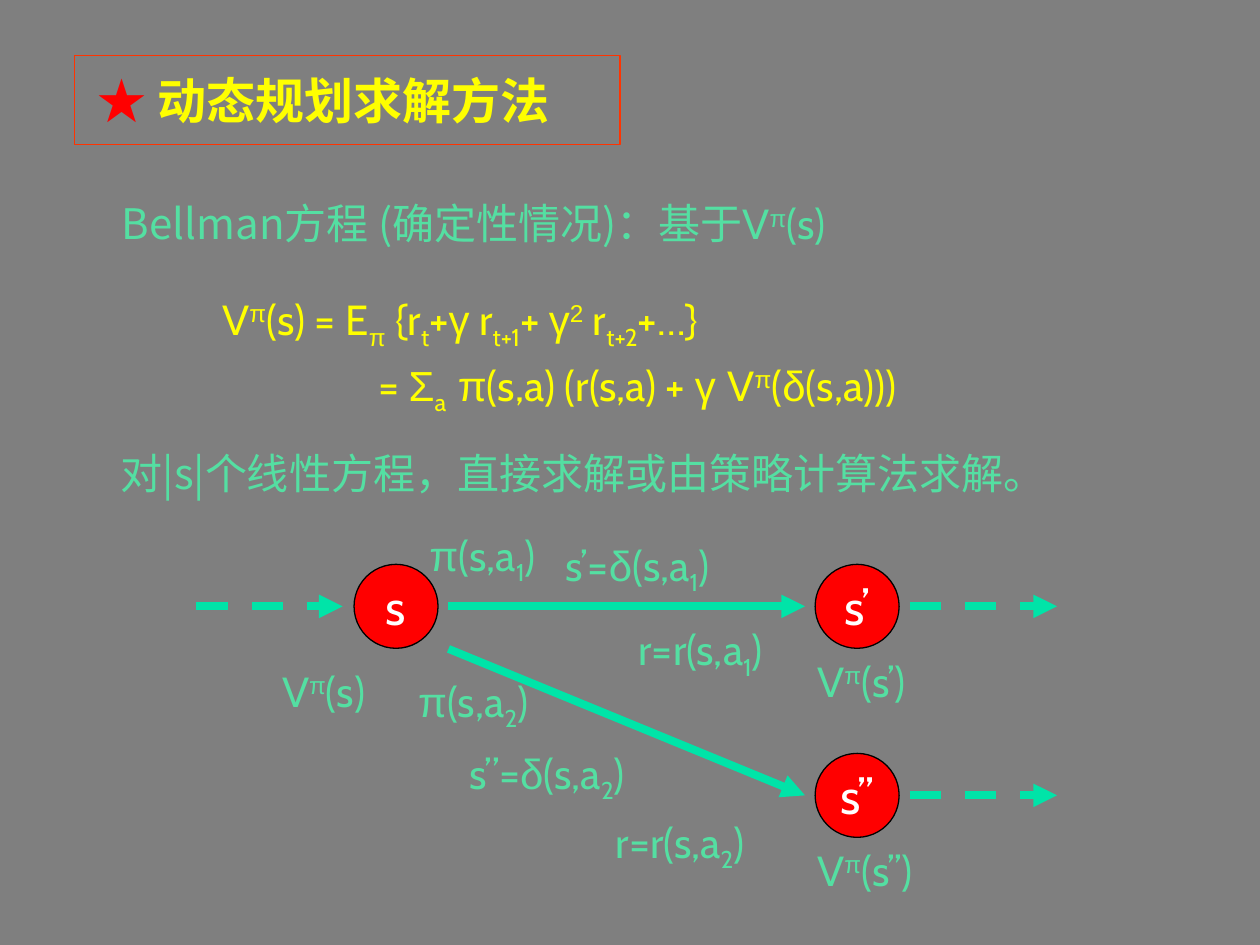
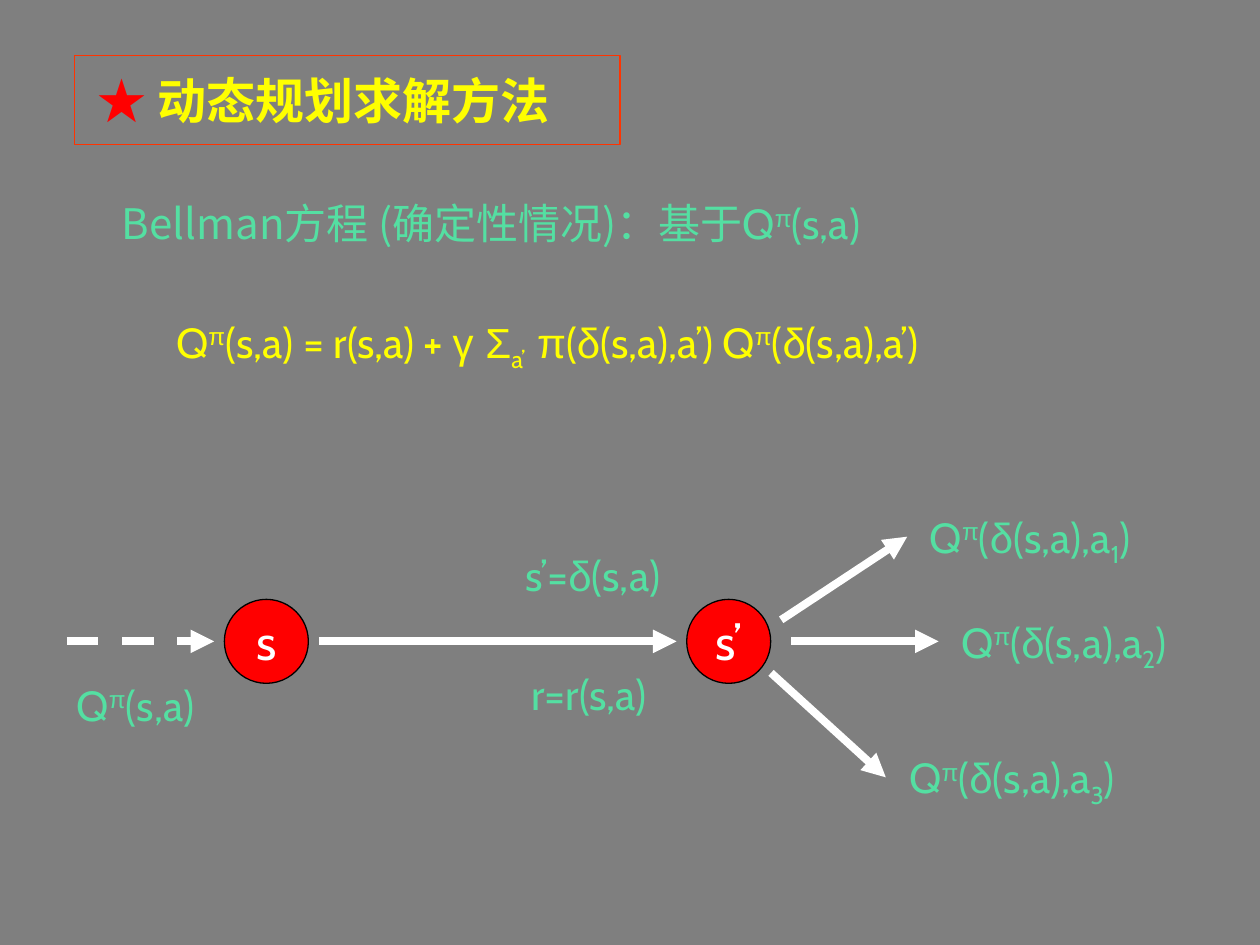
from lxml import etree
from pptx import Presentation
from pptx.dml.color import RGBColor
from pptx.enum import dml, shapes, text
from pptx.oxml import ns
from pptx.util import Pt

rgb = RGBColor.from_string
GRAY, GREEN, YELLOW, RED, WHITE = "7F7F7F", "54DFA2", "FFFF00", "FF0000", "FFFFFF"
CJK = "Noto Sans CJK SC"


def write(p, markup, color, size=24, bold=False):
    for piece in markup.split("·"):
        mark = piece[0] if piece[0] in "^_" else ""
        words = piece[len(mark):]
        r = p.add_run()
        r.text = words
        if any(ch >= "一" for ch in words) or "★" in words:
            name = CJK
        elif mark == "^" or words.strip()[0] in "πγδΣ":
            name = "Arial"
        else:
            name = "Cabin"
        r.font.name = name
        r.font.size = Pt(size)
        r.font.bold = bold
        r.font.color.rgb = rgb(color)
        rPr = r.font._element
        etree.SubElement(rPr, ns.qn("a:ea")).set("typeface", name)
        if mark:
            rPr.set("baseline", "30000" if mark == "^" else "-25000")


def add_text(s, x, y, w, h, lines, color=GREEN, wrap=True):
    tf = s.shapes.add_textbox(Pt(x), Pt(y), Pt(w), Pt(h)).text_frame
    tf.word_wrap = wrap
    if not wrap:
        tf.auto_size = text.MSO_AUTO_SIZE.SHAPE_TO_FIT_TEXT
    for i, (indent, markup) in enumerate(lines):
        p = tf.add_paragraph() if i else tf.paragraphs[0]
        p._p.get_or_add_pPr().set("marL", str(Pt(indent)))
        if i:
            p.space_before = Pt(4.8)
        write(p, markup, color)


slides = [
    {
        "heading": "Bellman方程 (确定性情况)：基于·V·^π·(s)",
        "formula": (72, 164.2, 612, 80.6, [
            (48, "V·^π·(s) = E·_π· {r·_t·+·γ· r·_t+1·+ ·γ·^2· r·_t+2·+…}"),
            (137, "= ·Σ·_a· π·(s,a) (r(s,a) + ·γ ·V·^π·(·δ·(s,a)))"),
        ]),
        "notes": [(61.9, 252, 552.2, 36, "对|s|个线性方程，直接求解或由策略计算法求解。")],
        "states": [(202.3, 322.5, "s"), (465.8, 322.5, "s’"), (465.8, 430.5, "s’’")],
        "arrow_color": "00E4A8",
        "arrows": [
            (112.3, 346.5, 195.8, 346.5, True),
            (256.3, 346.5, 460, 346.5, False),
            (256.3, 370.8, 460, 454.5, False),
            (519.8, 346.5, 604, 346.5, True),
            (519.8, 454.5, 604, 454.5, True),
        ],
        "labels": [
            (154.1, 376.6, 67.7, "V·^π·(s)"),
            (460, 370.8, 72.7, "V·^π·(s’)"),
            (460, 478.8, 77.8, "V·^π·(s’’)"),
            (238.3, 298.8, 85.7, "π·(s,a·_1·)"),
            (231.8, 382.3, 85.7, "π·(s,a·_2·)"),
            (316.1, 304.6, 118.8, "s’=·δ·(s,a·_1·)"),
            (261.4, 423.4, 123.8, "s’’=·δ·(s,a·_2·)"),
            (357.8, 352.8, 107.3, "r=r(s,a·_1·)"),
            (344.9, 463, 107.3, "r=r(s,a·_2·)"),
        ],
    },
    {
        "heading": "Bellman方程 (确定性情况)：基于·Q·^π·(s,a)",
        "formula": (93.6, 177.1, 528.5, 38.9, [
            (0, "Q·^π·(s,a) = r(s,a) + ·γ Σ·_a’· π·(·δ·(s,a),a’) Q·^π·(·δ·(s,a),a’)"),
        ]),
        "notes": [],
        "states": [(128.2, 342.5, "s"), (392.4, 342.5, "s’")],
        "arrow_color": WHITE,
        "arrows": [
            (38.2, 366.5, 122.4, 366.5, True),
            (182.2, 366.5, 386.6, 366.5, False),
            (446.4, 354.2, 518.4, 306.7, False),
            (452.2, 366.5, 536.4, 366.5, False),
            (440.6, 384.5, 506.2, 444.2, False),
        ],
        "labels": [
            (36.7, 384.5, 90, "Q·^π·(s,a)"),
            (293, 310.3, 110.2, "s’=·δ·(s,a)"),
            (296.6, 378.7, 98.6, "r=r(s,a)"),
        ] + [
            (x, y, 149.8, f"Q·^π·(·δ·(s,a),a·_{n}·)")
            for n, (x, y) in enumerate([(524.2, 288.7), (542.2, 348.5), (512.6, 426.2)], 1)
        ],
    },
]

prs = Presentation()
prs.slide_width, prs.slide_height = Pt(720), Pt(540)

for data in slides:
    s = prs.slides.add_slide(prs.slide_layouts[6])
    s.background.fill.solid()
    s.background.fill.fore_color.rgb = rgb(GRAY)

    sp = s.shapes.add_shape(shapes.MSO_SHAPE.RECTANGLE, Pt(42.5), Pt(31.7), Pt(311.8), Pt(51.1))
    sp.shadow.inherit = False
    sp.fill.background()
    sp.line.color.rgb = rgb("FF3300")
    sp.line.width = Pt(0.75)
    tf = sp.text_frame
    tf.vertical_anchor = text.MSO_ANCHOR.MIDDLE
    p = tf.paragraphs[0]
    p.alignment = text.PP_ALIGN.LEFT
    write(p, " ★ ", RED, 28, True)
    write(p, "动态规划求解方法", YELLOW, 28, True)

    add_text(s, 62.6, 109.4, 453.6, 46, [(0, data["heading"])])
    add_text(s, *data["formula"], color=YELLOW)
    for x, y, w, h, note in data["notes"]:
        add_text(s, x, y, w, h, [(0, note)])

    for x, y, name in data["states"]:
        sp = s.shapes.add_shape(shapes.MSO_SHAPE.OVAL, Pt(x), Pt(y), Pt(48), Pt(48))
        sp.shadow.inherit = False
        sp.fill.solid()
        sp.fill.fore_color.rgb = rgb(RED)
        sp.line.color.rgb = rgb("000000")
        sp.line.width = Pt(0.75)
        tf = sp.text_frame
        tf.word_wrap = False
        tf.vertical_anchor = text.MSO_ANCHOR.MIDDLE
        p = tf.paragraphs[0]
        p.alignment = text.PP_ALIGN.CENTER
        write(p, name, WHITE, 28)

    for x1, y1, x2, y2, dashed in data["arrows"]:
        c = s.shapes.add_connector(shapes.MSO_CONNECTOR.STRAIGHT, Pt(x1), Pt(y1), Pt(x2), Pt(y2))
        c.line.color.rgb = rgb(data["arrow_color"])
        c.line.width = Pt(4.5)
        if dashed:
            c.line.dash_style = dml.MSO_LINE.DASH
        etree.SubElement(c.line._get_or_add_ln(), ns.qn("a:tailEnd")).set("type", "triangle")
        etree.SubElement(c._element.spPr, ns.qn("a:effectLst"))

    for x, y, w, label in data["labels"]:
        add_text(s, x, y, w, 36, [(0, label)], wrap=False)

prs.save("out.pptx")
